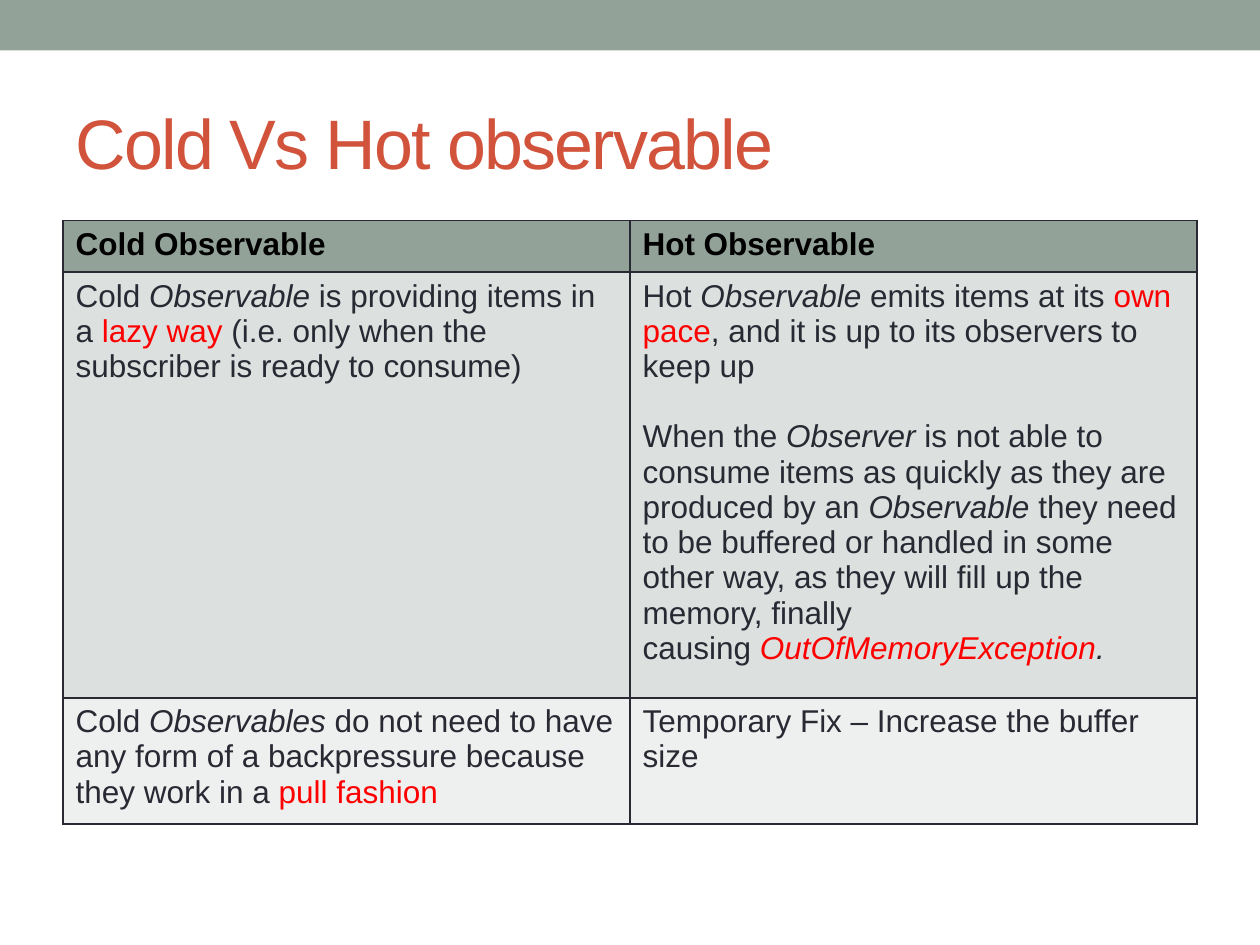
from lxml.etree import SubElement
from pptx import Presentation
from pptx.dml.color import RGBColor
from pptx.enum.shapes import MSO_SHAPE
from pptx.enum.text import MSO_ANCHOR
from pptx.oxml.ns import qn
from pptx.util import Inches, Pt

SAGE = RGBColor(0x93, 0xA2, 0x99)
SAGE_MID = RGBColor(0xDC, 0xE0, 0xDE)
SAGE_PALE = RGBColor(0xEE, 0xF0, 0xEF)
RUST = RGBColor(0xD2, 0x53, 0x3C)
INK = RGBColor(0x29, 0x29, 0x34)
BLACK = RGBColor(0, 0, 0)
RED = RGBColor(0xFF, 0, 0)

FONT = "Arial"
MARGIN = Inches(0.5)
ROW_HEIGHT = Inches(0.41)  # rows grow to fit their text

# Each cell is a list of paragraphs, each paragraph a list of (text, style):
# "i" is italic, "r" is red.
ROWS = [
    (SAGE, [
        [[("Cold Observable", "")]],
        [[("Hot Observable", "")]],
    ]),
    (SAGE_MID, [
        [[("Cold\u00a0", ""), ("Observable", "i"),
          ("\u00a0is providing items in a ", ""), ("lazy way", "r"),
          (" (i.e. only when the subscriber is ready to consume)", "")]],
        [[("Hot\u00a0", ""), ("Observable", "i"),
          ("\u00a0emits items at its ", ""), ("own pace", "r"),
          (", and it is up to its observers to keep up", "")],
         [("When the\u00a0", ""), ("Observer\u00a0", "i"),
          ("is not able to consume items as quickly as they are produced "
           "by an\u00a0", ""), ("Observable", "i"),
          ("\u00a0they need to be buffered or handled in some other way, as "
           "they will fill up the memory, finally causing\u00a0", ""),
          ("OutOfMemoryException", "ir"), (".", "i")]],
    ]),
    (SAGE_PALE, [
        [[("Cold\u00a0", ""), ("Observables", "i"),
          ("\u00a0do not need to have any form of a backpressure because "
           "they work in a ", ""), ("pull fashion", "r")]],
        [[("Temporary Fix \u2013 Increase the buffer size", "")]],
    ]),
]


def fill_cell(cell, paragraphs, color, bold):
    """Write styled paragraphs into a table cell."""
    frame = cell.text_frame
    for index, runs in enumerate(paragraphs):
        paragraph = frame.add_paragraph() if index else frame.paragraphs[0]
        paragraph.font.size = Pt(18)
        if index:
            paragraph.space_before = Pt(20)
        for text, style in runs:
            run = paragraph.add_run()
            run.text = text
            run.font.name = FONT
            run.font.size = Pt(18)
            run.font.bold = bold
            run.font.italic = "i" in style
            run.font.color.rgb = RED if "r" in style else color


def set_borders(cell, color):
    """Draw a one-point line on all four sides of a cell."""
    properties = cell._tc.get_or_add_tcPr()
    for index, side in enumerate(("a:lnL", "a:lnR", "a:lnT", "a:lnB")):
        line = properties.makeelement(qn(side), {"w": str(Pt(1))})
        fill = SubElement(line, qn("a:solidFill"))
        SubElement(fill, qn("a:srgbClr"), val=str(color))
        properties.insert(index, line)


presentation = Presentation()
presentation.slide_width = Inches(10)
presentation.slide_height = Inches(7.5)
slide = presentation.slides.add_slide(presentation.slide_layouts[6])
content_width = presentation.slide_width - 2 * MARGIN

band = slide.shapes.add_shape(
    MSO_SHAPE.RECTANGLE, 0, 0, presentation.slide_width, Inches(0.4))
band.shadow.inherit = False
band.fill.solid()
band.fill.fore_color.rgb = SAGE
band.line.fill.background()

title = slide.shapes.add_textbox(
    MARGIN, Inches(0.58), content_width, Inches(1.08))
title.text_frame.word_wrap = True
title.text_frame.vertical_anchor = MSO_ANCHOR.MIDDLE
paragraph = title.text_frame.paragraphs[0]
run = paragraph.add_run()
run.text = "Cold Vs Hot observable"
run.font.name = FONT
run.font.size = Pt(40)
run.font.color.rgb = RUST
run.font._element.set("spc", "-100")

table = slide.shapes.add_table(
    len(ROWS), 2, MARGIN, Inches(1.75), content_width,
    ROW_HEIGHT * len(ROWS)).table
for row_index, (background, cells) in enumerate(ROWS):
    is_header = row_index == 0
    for column_index, paragraphs in enumerate(cells):
        cell = table.cell(row_index, column_index)
        cell.fill.solid()
        cell.fill.fore_color.rgb = background
        set_borders(cell, INK)
        fill_cell(cell, paragraphs, BLACK if is_header else INK, is_header)

presentation.save("out.pptx")
